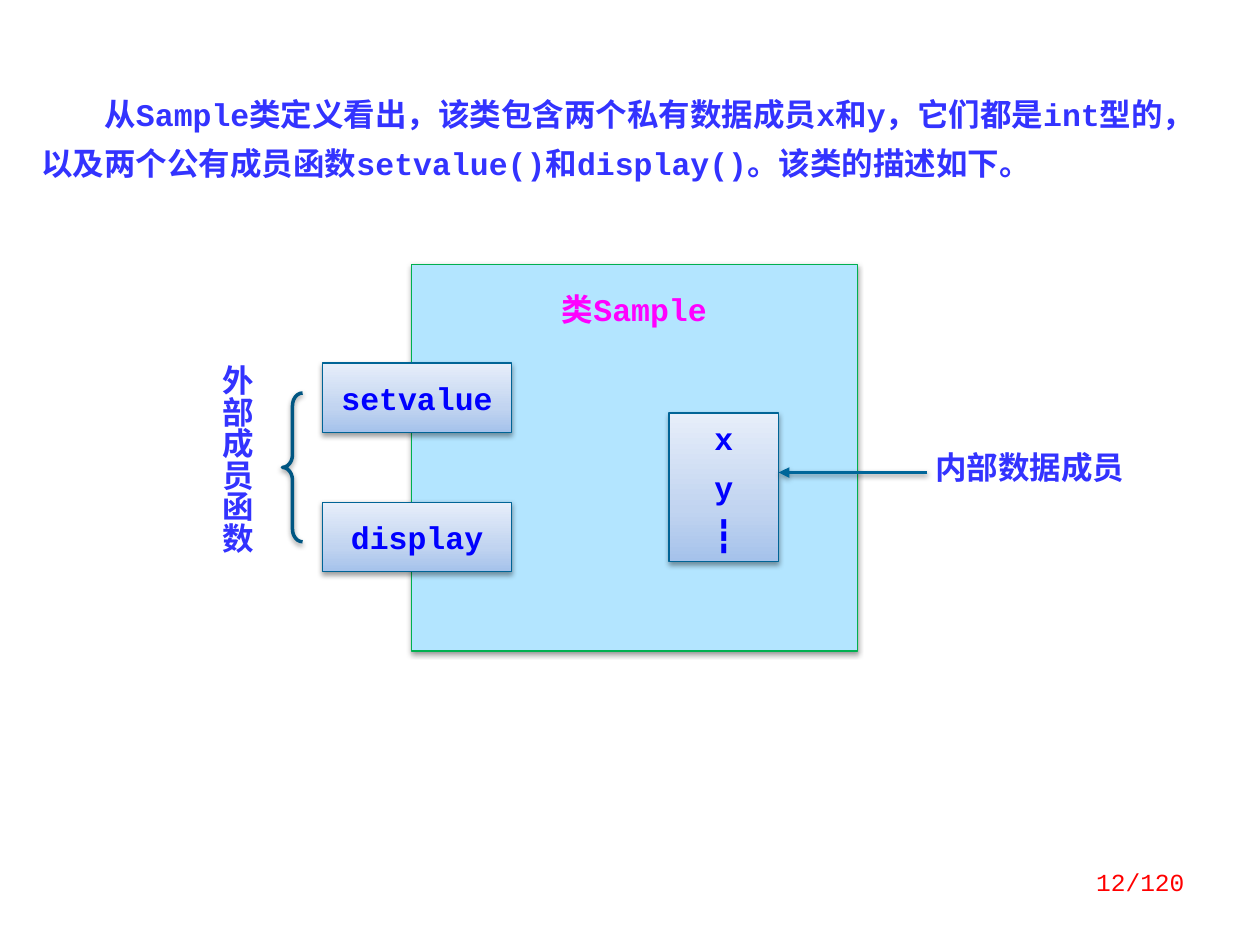
from dataclasses import dataclass

from lxml import etree
from pptx import Presentation
from pptx.dml.color import RGBColor
from pptx.enum.shapes import MSO_CONNECTOR, MSO_SHAPE
from pptx.enum.text import MSO_ANCHOR, PP_ALIGN
from pptx.oxml import parse_xml
from pptx.oxml.ns import nsdecls, qn
from pptx.util import Pt

RECT, BRACE = MSO_SHAPE.RECTANGLE, MSO_SHAPE.LEFT_BRACE
STRAIGHT = MSO_CONNECTOR.STRAIGHT
LEFT, CENTER, RIGHT = PP_ALIGN.LEFT, PP_ALIGN.CENTER, PP_ALIGN.RIGHT
TOP, MIDDLE = MSO_ANCHOR.TOP, MSO_ANCHOR.MIDDLE


@dataclass(frozen=True)
class Theme:
    code_font: str = "Courier New"
    cjk_font: str = "Noto Sans CJK SC"
    body: int = 18
    footer: int = 14
    text: str = "3333FF"
    member: str = "0000FF"
    title: str = "FF00FF"
    page: str = "FF0000"
    class_fill: str = "B3E5FF"
    class_line: str = "00B050"
    box_line: str = "006496"
    arrow: str = "006699"
    brace: str = "005682"
    gradient: tuple = ((0, "A5C2EB"), (35, "C1D4F0"), (100, "E7EEFA"))


T = Theme()


def rgb(color):
    return RGBColor.from_string(color)


def set_line(sp, color, width):
    sp.line.color.rgb = rgb(color)
    sp.line.width = Pt(width)


def add_shadow(sp):
    """Add a soft shadow below; call after fill and line are set."""
    sp._element.spPr.append(parse_xml(
        f'<a:effectLst {nsdecls("a")}><a:outerShdw blurRad="{Pt(3.1)}" '
        f'dist="{Pt(1.6)}" dir="5400000" rotWithShape="0"><a:srgbClr val="000000">'
        '<a:alpha val="38000"/></a:srgbClr></a:outerShdw></a:effectLst>'))


def fill_gradient(sp):
    stops = "".join(f'<a:gs pos="{pos * 1000}"><a:srgbClr val="{color}"/></a:gs>'
                    for pos, color in T.gradient)
    sp._element.spPr.find(qn("a:prstGeom")).addnext(parse_xml(
        f'<a:gradFill {nsdecls("a")} rotWithShape="1"><a:gsLst>{stops}</a:gsLst>'
        '<a:lin ang="16200000" scaled="0"/></a:gradFill>'))


def write(sp, lines, color, align=CENTER, anchor=TOP, size=T.body,
          font=T.code_font, bold=True, wrap=True):
    tf = sp.text_frame
    tf.word_wrap = wrap
    tf.vertical_anchor = anchor
    for i, line in enumerate(lines):
        p = tf.add_paragraph() if i else tf.paragraphs[0]
        p.text = line
        p.alignment = align
        if i:
            p.space_before = Pt(6)
        p.font.name = font
        p.font.size = Pt(size)
        p.font.bold = bold
        p.font.color.rgb = rgb(color)
        ea = etree.SubElement(p.font._element, qn("a:ea"))
        ea.set("typeface", T.cjk_font)
    return tf


def add_text(s, box, text, color, **style):
    sp = s.shapes.add_textbox(*map(Pt, box))
    return write(sp, [text], color, **style)


def add_class_box(s, box):
    sp = s.shapes.add_shape(RECT, *map(Pt, box))
    sp.fill.solid()
    sp.fill.fore_color.rgb = rgb(T.class_fill)
    set_line(sp, T.class_line, 0.75)
    add_shadow(sp)


def add_member_box(s, box, lines, **style):
    sp = s.shapes.add_shape(RECT, *map(Pt, box))
    fill_gradient(sp)
    set_line(sp, T.box_line, 0.75)
    add_shadow(sp)
    write(sp, lines, T.member, **style)


def add_brace(s, box):
    sp = s.shapes.add_shape(BRACE, *map(Pt, box))
    sp.adjustments[0] = 0.63
    sp.fill.background()
    set_line(sp, T.brace, 2)
    add_shadow(sp)


def add_arrow(s, x1, x2, y):
    sp = s.shapes.add_connector(STRAIGHT, Pt(x1), Pt(y), Pt(x2), Pt(y))
    set_line(sp, T.arrow, 2)
    etree.SubElement(sp.line._get_or_add_ln(), qn("a:tailEnd")).set("type", "triangle")
    add_shadow(sp)


def main():
    prs = Presentation()
    prs.slide_width, prs.slide_height = Pt(720), Pt(540)
    s = prs.slides.add_slide(prs.slide_layouts[6])

    add_class_box(s, (235.2, 151, 255, 221))
    tf = add_text(s, (16.6, 44.6, 680.4, 61.2),
                  "从Sample类定义看出，该类包含两个私有数据成员x和y，它们都是int型的，"
                  "以及两个公有成员函数setvalue()和display()。该类的描述如下。",
                  T.text, align=LEFT)
    p = tf.paragraphs[0]
    p.line_spacing = Pt(28)
    p._p.get_or_add_pPr().set("indent", str(Pt(2 * T.body)))

    for i, name in enumerate(("setvalue", "display")):
        add_member_box(s, (184.3, 207.4 + 79.6 * i, 108, 39.6), [name],
                       anchor=MIDDLE, wrap=False)
    add_text(s, (303, 162, 119, 29), "类Sample", T.title)
    add_member_box(s, (382.4, 236, 62.6, 85), ["x", "y", "┇"])

    add_arrow(s, 530, 445, 270)
    add_text(s, (517.7, 252.7, 141.8, 29), "内部数据成员", T.text, font=T.cjk_font)
    add_brace(s, (161.4, 224.6, 11.5, 85))
    tf = add_text(s, (113.8, 201.6, 36, 141.8), "外部成员函数", T.text, font=T.cjk_font)
    tf._txBody.bodyPr.set("vert", "eaVert")
    add_text(s, (516.2, 491.8, 167.8, 36), "12/120", T.page,
             align=RIGHT, size=T.footer, bold=False)

    prs.save("out.pptx")


if __name__ == "__main__":
    main()
